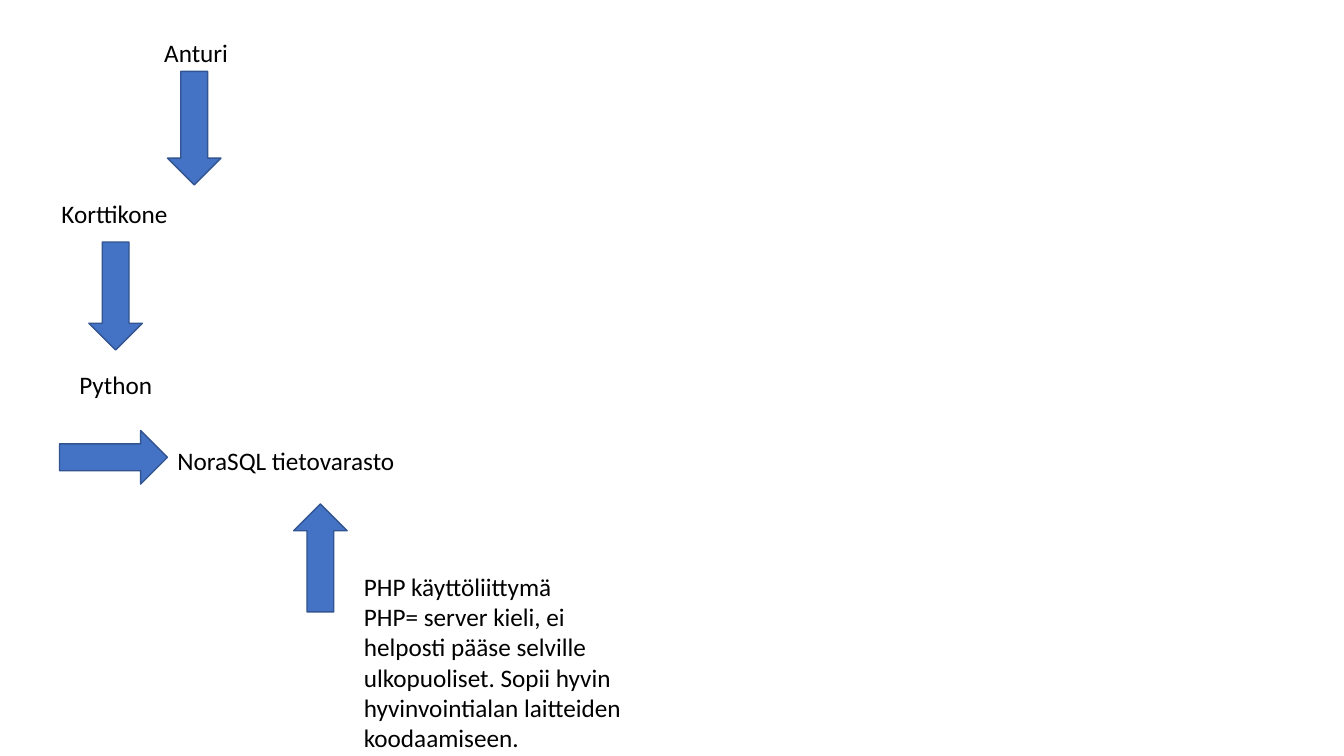
"""Build a slide showing how sensor data flows to a database and a user interface."""
from dataclasses import dataclass

import pptx
import pptx.dml.color
import pptx.enum.shapes
import pptx.enum.text
import pptx.util

Cm = pptx.util.Cm
Shape = pptx.enum.shapes.MSO_SHAPE


@dataclass(frozen=True)
class Theme:
    font: str = "Calibri"
    size: int = 18
    text: str = "000000"
    fill: str = "4472C4"
    line: str = "325491"
    line_width: int = 1


def rgb(value):
    return pptx.dml.color.RGBColor.from_string(value)


def add_text(p, text, *, font, size, color):
    r = p.add_run()
    r.text = text
    r.font.name = font
    r.font.size = pptx.util.Pt(size)
    r.font.color.rgb = rgb(color)


class Flow:
    def __init__(self, slide, theme):
        self.s = slide
        self.theme = theme

    def label(self, left, top, *lines, width=7.62, height=1.02):
        sp = self.s.shapes.add_textbox(Cm(left), Cm(top), Cm(width), Cm(height))
        tf = sp.text_frame
        tf.word_wrap = True
        tf.auto_size = pptx.enum.text.MSO_AUTO_SIZE.SHAPE_TO_FIT_TEXT
        for i, line in enumerate(lines):
            p = tf.add_paragraph() if i else tf.paragraphs[0]
            add_text(p, line, font=self.theme.font, size=self.theme.size,
                     color=self.theme.text)

    def arrow(self, kind, left, top, length=2.72, breadth=1.35):
        size = (length, breadth) if kind == Shape.RIGHT_ARROW else (breadth, length)
        sp = self.s.shapes.add_shape(kind, Cm(left), Cm(top), *map(Cm, size))
        sp.shadow.inherit = False
        sp.fill.solid()
        sp.fill.fore_color.rgb = rgb(self.theme.fill)
        sp.line.color.rgb = rgb(self.theme.line)
        sp.line.width = pptx.util.Pt(self.theme.line_width)


prs = pptx.Presentation()
prs.slide_width, prs.slide_height = Cm(33.87), Cm(19.05)
flow = Flow(prs.slides.add_slide(prs.slide_layouts[6]), Theme())

flow.label(3.89, 0.81, "Anturi")
flow.arrow(Shape.DOWN_ARROW, 4.22, 1.8, length=2.86)
flow.label(1.3, 4.88, "Korttikone")
flow.arrow(Shape.DOWN_ARROW, 2.24, 6.1)
flow.label(1.75, 9.17, "Python")
flow.arrow(Shape.RIGHT_ARROW, 1.5, 10.85)
flow.label(4.22, 11.1, "NoraSQL tietovarasto")
flow.arrow(Shape.UP_ARROW, 7.4, 12.7)
flow.label(8.92, 14.27, "PHP käyttöliittymä",
           "PHP= server kieli, ei helposti pääse selville ulkopuoliset. "
           "Sopii hyvin hyvinvointialan laitteiden koodaamiseen.", height=4.88)

prs.save("out.pptx")
